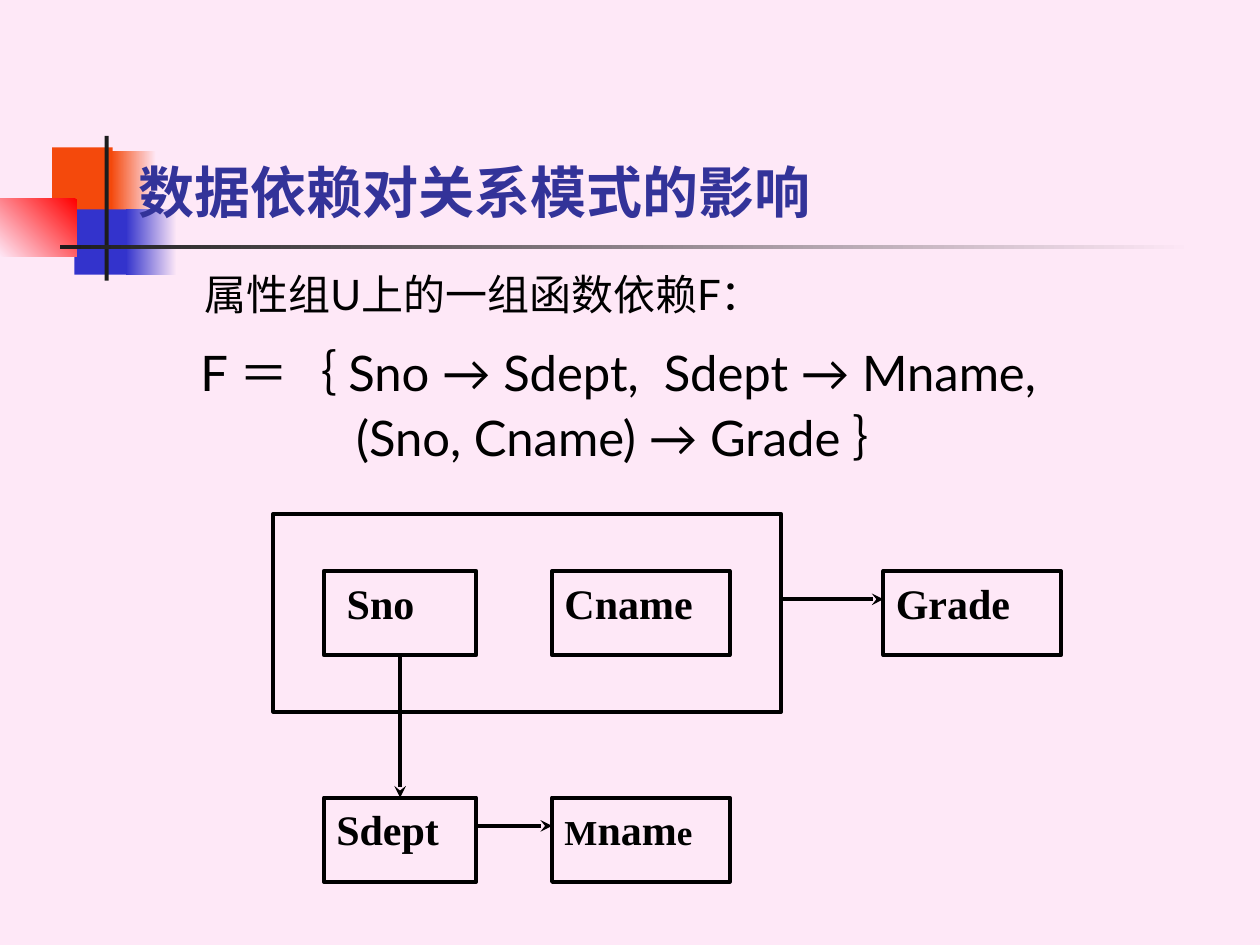
"""Build the slide on how data dependencies affect a relation schema."""
import pptx
import pptx.dml.color
import pptx.enum.shapes
import pptx.enum.text
import pptx.oxml
import pptx.util

Cm, Pt = pptx.util.Cm, pptx.util.Pt
RGB = pptx.dml.color.RGBColor.from_string
RECT = pptx.enum.shapes.MSO_SHAPE.RECTANGLE
COLORS = {"bg": "FEE8F7", "orange": "F4490C", "blue": "3333CC", "red": "FF0000",
          "dark": "1C1C1C", "title": "333399", "black": "000000"}


def add_rect(x, y, w, h):
    sp = s.shapes.add_shape(RECT, Cm(x), Cm(y), Cm(w), Cm(h))
    sp.shadow.inherit = False
    sp.fill.background()
    sp.line.fill.background()
    return sp


def add_run(p, text, size, font, color="black", bold=False):
    r = p.add_run()
    r.text = text
    r.font.size = Pt(size)
    r.font.name = font
    r.font.bold = bold
    r.font.color.rgb = RGB(COLORS[color])


prs = pptx.Presentation()
prs.slide_width, prs.slide_height = Cm(25.4), Cm(19.05)
s = prs.slides.add_slide(prs.slide_layouts[6])
s.background.fill.solid()
s.background.fill.fore_color.rgb = RGB(COLORS["bg"])

decorations = [
    (1.05, 2.97, 1.22, 1.32, ["orange"], 0),
    (2.24, 3.05, 0.91, 1.32, ["bg", "orange"], 180),
    (1.5, 4.22, 1.17, 1.32, ["blue"], 0),
    (2.54, 4.22, 1.02, 1.32, ["bg", "blue"], 180),
    (0, 4.01, 1.55, 1.17, ["red", "bg"], 225),
    (2.11, 2.74, 0.08, 2.92, ["dark"], 0),
    (1.22, 4.94, 22.86, 0.09, ["bg", "dark"], 180),
]
for x, y, w, h, names, angle in decorations:
    sp = add_rect(x, y, w, h)
    if len(names) == 1:
        sp.fill.solid()
        sp.fill.fore_color.rgb = RGB(COLORS[names[0]])
    else:
        sp.fill.gradient()
        sp.fill.gradient_angle = angle
        for stop, name in zip(sp.fill.gradient_stops, names):
            stop.color.rgb = RGB(COLORS[name])

tf = s.shapes.add_textbox(Cm(2.54), Cm(1.47), Cm(21.64), Cm(3.18)).text_frame
tf.word_wrap = True
tf.vertical_anchor = pptx.enum.text.MSO_ANCHOR.BOTTOM
add_run(tf.paragraphs[0], "数据依赖对关系模式的影响", 32, "Lato", "title", True)

tf = s.shapes.add_textbox(Cm(2.97), Cm(5.28), Cm(21.59), Cm(11.43)).text_frame
tf.word_wrap = True
body = [
    ("属性组U上的一组函数依赖F：", 24, 0.9, 6, 1),
    ("F ＝｛ Sno → Sdept,  Sdept → Mname,", 28, 0.82, 7, 1.2),
    ("(Sno, Cname) → Grade ｝", 28, 3.96, 3.5, 1),
]
for i, (text, size, indent, before, spacing) in enumerate(body):
    p = tf.add_paragraph() if i else tf.paragraphs[0]
    p._p.get_or_add_pPr().set("marL", str(Cm(indent)))
    p.space_before = Pt(before)
    p.line_spacing = spacing
    add_run(p, text, size, "Lato")

col1, col2, col3 = 6.53, 11.13, 17.81
row1, row2 = 11.51, 16.08
narrow, wide, height = 3.07, 3.58, 1.7
group_x, group_w = 5.51, 10.24
boxes = [
    (group_x, 10.36, group_w, 3.99, []),
    (col1, row1, narrow, height, [(" Sno", 24)]),
    (col2, row1, wide, height, [("Cname", 24)]),
    (col1, row2, narrow, height, [("Sdept", 24)]),
    (col2, row2, wide, height, [("M", 20), ("nam", 24), ("e", 20)]),
    (col3, row1, wide, height, [("Grade", 24)]),
]
for x, y, w, h, runs in boxes:
    sp = add_rect(x, y, w, h)
    sp.line.color.rgb = RGB(COLORS["black"])
    sp.line.width = Pt(2.25)
    sp.text_frame.vertical_anchor = pptx.enum.text.MSO_ANCHOR.TOP
    p = sp.text_frame.paragraphs[0]
    p.alignment = pptx.enum.text.PP_ALIGN.JUSTIFY
    for text, size in runs:
        add_run(p, text, size, "Times New Roman", bold=True)

sno_mid = col1 + narrow / 2
arrow_drop = 0.57
arrows = [
    (sno_mid, row1 + height, sno_mid, row2),
    (col1 + narrow, row2 + arrow_drop, col2, row2 + arrow_drop),
    (group_x + group_w, row1 + arrow_drop, col3, row1 + arrow_drop),
]
for x1, y1, x2, y2 in arrows:
    c = s.shapes.add_connector(pptx.enum.shapes.MSO_CONNECTOR.STRAIGHT,
                               Cm(x1), Cm(y1), Cm(x2), Cm(y2))
    c.line.color.rgb = RGB(COLORS["black"])
    c.line.width = Pt(2.25)
    ln = c.line._get_or_add_ln()
    tail = pptx.oxml.ns.qn("a:tailEnd")
    ln.append(ln.makeelement(tail, {"type": "stealth"}))
    spPr = c._element.spPr
    spPr.append(spPr.makeelement(pptx.oxml.ns.qn("a:effectLst"), {}))

prs.save("out.pptx")
